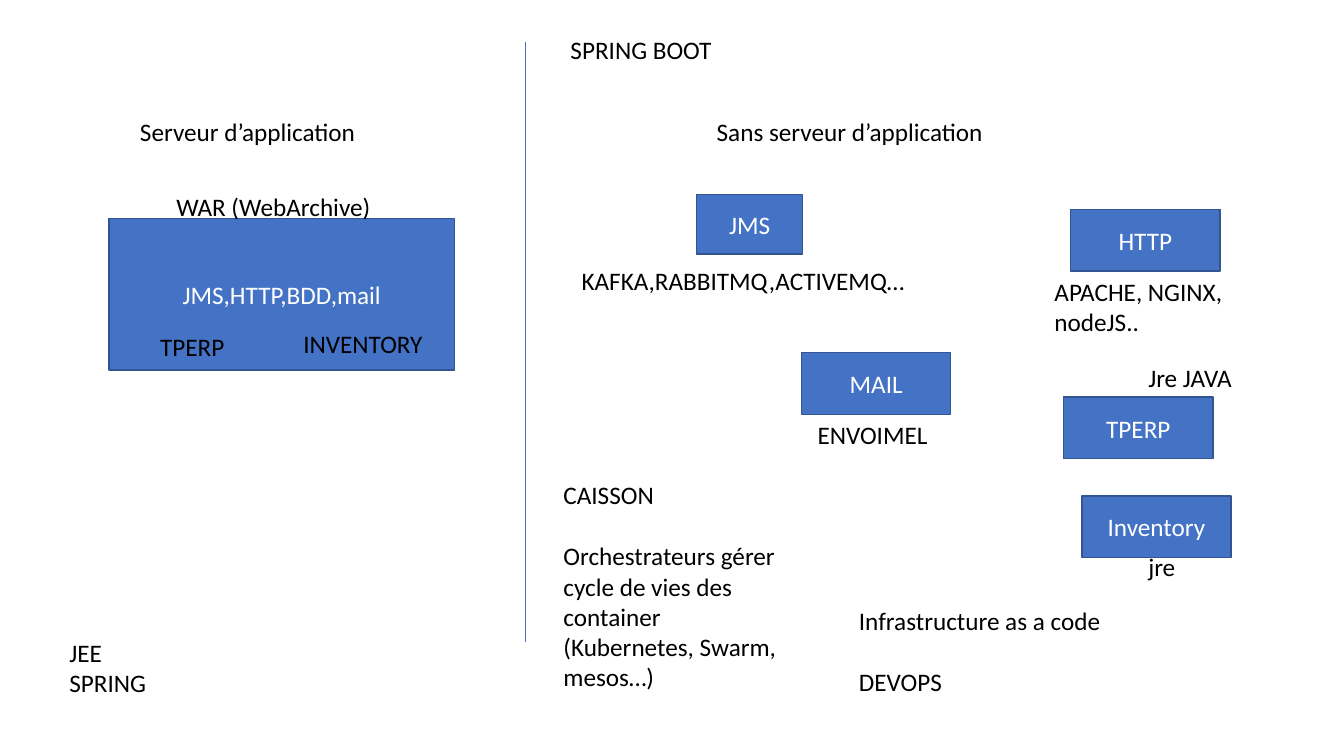
import pptx
import pptx.util
import pptx.dml.color
import pptx.enum.shapes
import pptx.enum.text
import pptx.oxml.ns
from lxml import etree

Inches = pptx.util.Inches
Pt = pptx.util.Pt
RGBColor = pptx.dml.color.RGBColor

BLUE = RGBColor(0x44, 0x72, 0xC4)
DARK_BLUE = RGBColor(0x32, 0x54, 0x91)
WHITE = RGBColor(0xFF, 0xFF, 0xFF)
BLACK = RGBColor(0x00, 0x00, 0x00)

FONT = "Calibri"
TEXT_SIZE = Pt(18)
BLOCK_GAP = Pt(22)

SERVICE = (1.48, 0.61)
SERVICES = [
    ("JMS,HTTP,BDD,mail", 1.08, 2.17, (3.43, 1.5)),
    ("JMS", 6.91, 1.93, (1.05, 0.59)),
    ("HTTP", 10.62, 2.08, SERVICE),
    ("MAIL", 7.95, 3.5, SERVICE),
    ("TPERP", 10.55, 3.94, SERVICE),
    ("Inventory", 10.73, 4.92, SERVICE),
]

LABELS = [
    (["Serveur d’application"], 1.29, 1.11, 3.03, 0.4, 0),
    (["WAR (WebArchive)"], 1.65, 1.85, 2.59, 0.4, 0),
    (["TPERP"], 1.49, 3.24, 0.97, 0.4, 0),
    (["INVENTORY"], 2.91, 3.21, 1.53, 0.4, 0),
    (["JEE", "SPRING"], 0.59, 6.27, 1.85, 0.71, 0),
    (["SPRING BOOT"], 5.56, 0.29, 1.85, 0.4, 0),
    (["Sans serveur d’application"], 7.01, 1.11, 3.03, 0.4, 0),
    (["KAFKA,RABBITMQ,ACTIVEMQ…"], 5.67, 2.58, 3.54, 0.4, 0),
    (["APACHE, NGINX, nodeJS.."], 10.36, 2.69, 2.21, 0.71, 0),
    (["ENVOIMEL"], 8.01, 4.11, 1.75, 0.4, 0),
    (["Jre JAVA"], 11.29, 3.55, 1.28, 0.4, 0),
    (["jre"], 11.29, 5.42, 0.68, 0.4, 0),
    (["CAISSON",
      "Orchestrateurs gérer cycle de vies des container (Kubernetes, Swarm, mesos…)"],
     5.49, 4.71, 2.36, 2.22, BLOCK_GAP),
    (["Infrastructure as a code", "DEVOPS"], 8.42, 5.96, 2.87, 1.01, BLOCK_GAP),
]


def write(frame, lines, color, gap=0, align=pptx.enum.text.PP_ALIGN.LEFT):
    frame.word_wrap = True
    for index, line in enumerate(lines):
        paragraph = frame.add_paragraph() if index else frame.paragraphs[0]
        paragraph.text = line
        paragraph.alignment = align
        if index and gap:
            paragraph.space_before = gap
        paragraph.font.name = FONT
        paragraph.font.size = TEXT_SIZE
        paragraph.font.color.rgb = color


def add_divider(slide):
    divider = slide.shapes.add_connector(
        pptx.enum.shapes.MSO_CONNECTOR.STRAIGHT,
        Inches(5.21), Inches(0.42), Inches(5.21), Inches(6.37))
    divider.line.color.rgb = BLUE
    divider.line.width = Pt(0.5)
    etree.SubElement(divider._element.spPr, pptx.oxml.ns.qn("a:effectLst"))


def add_service(slide, name, left, top, size):
    service = slide.shapes.add_shape(
        pptx.enum.shapes.MSO_SHAPE.RECTANGLE,
        Inches(left), Inches(top), Inches(size[0]), Inches(size[1]))
    service.shadow.inherit = False
    service.fill.solid()
    service.fill.fore_color.rgb = BLUE
    service.line.color.rgb = DARK_BLUE
    service.line.width = Pt(1)
    service.text_frame.vertical_anchor = pptx.enum.text.MSO_ANCHOR.MIDDLE
    write(service.text_frame, [name], WHITE, align=pptx.enum.text.PP_ALIGN.CENTER)


def add_label(slide, lines, left, top, width, height, gap):
    label = slide.shapes.add_textbox(
        Inches(left), Inches(top), Inches(width), Inches(height))
    label.text_frame.auto_size = pptx.enum.text.MSO_AUTO_SIZE.SHAPE_TO_FIT_TEXT
    write(label.text_frame, lines, BLACK, gap)


def main():
    deck = pptx.Presentation()
    deck.slide_width = Inches(13.33)
    deck.slide_height = Inches(7.5)
    slide = deck.slides.add_slide(deck.slide_layouts[6])
    add_divider(slide)
    for service in SERVICES:
        add_service(slide, *service)
    for label in LABELS:
        add_label(slide, *label)
    deck.save("out.pptx")


if __name__ == "__main__":
    main()
